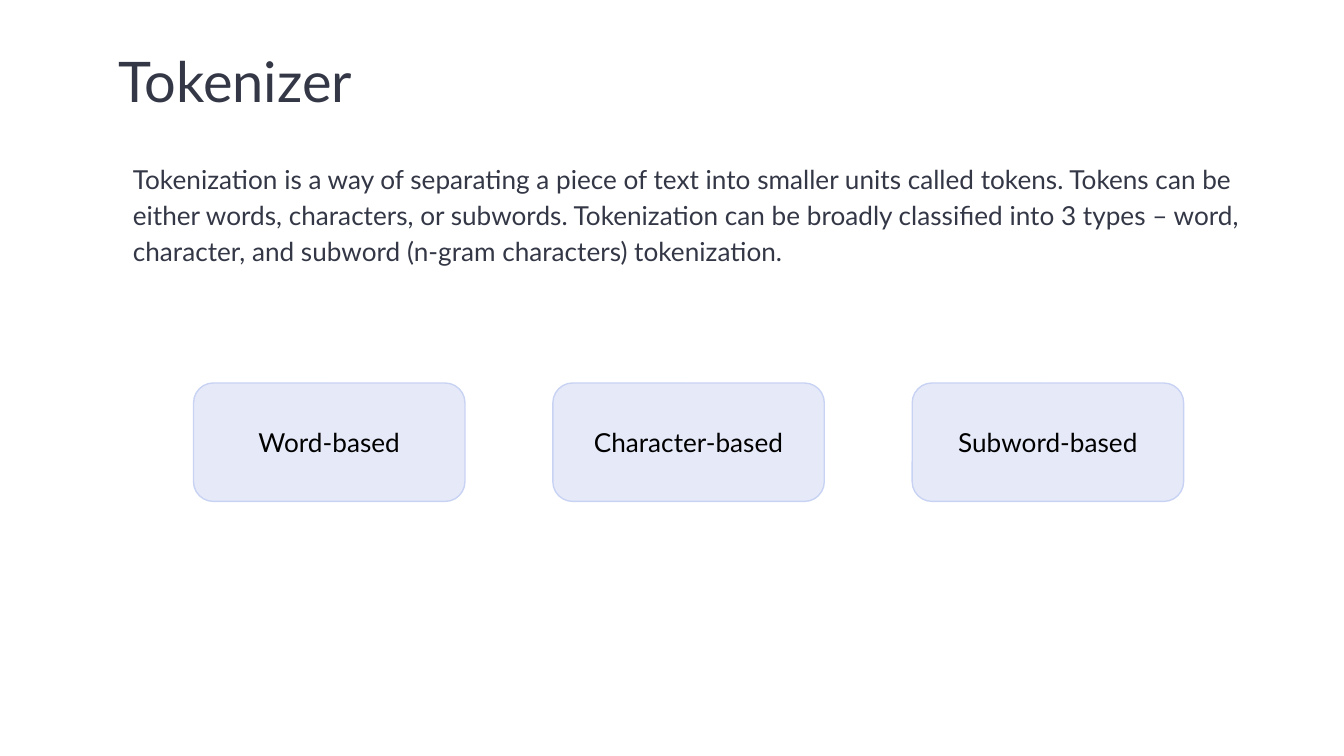
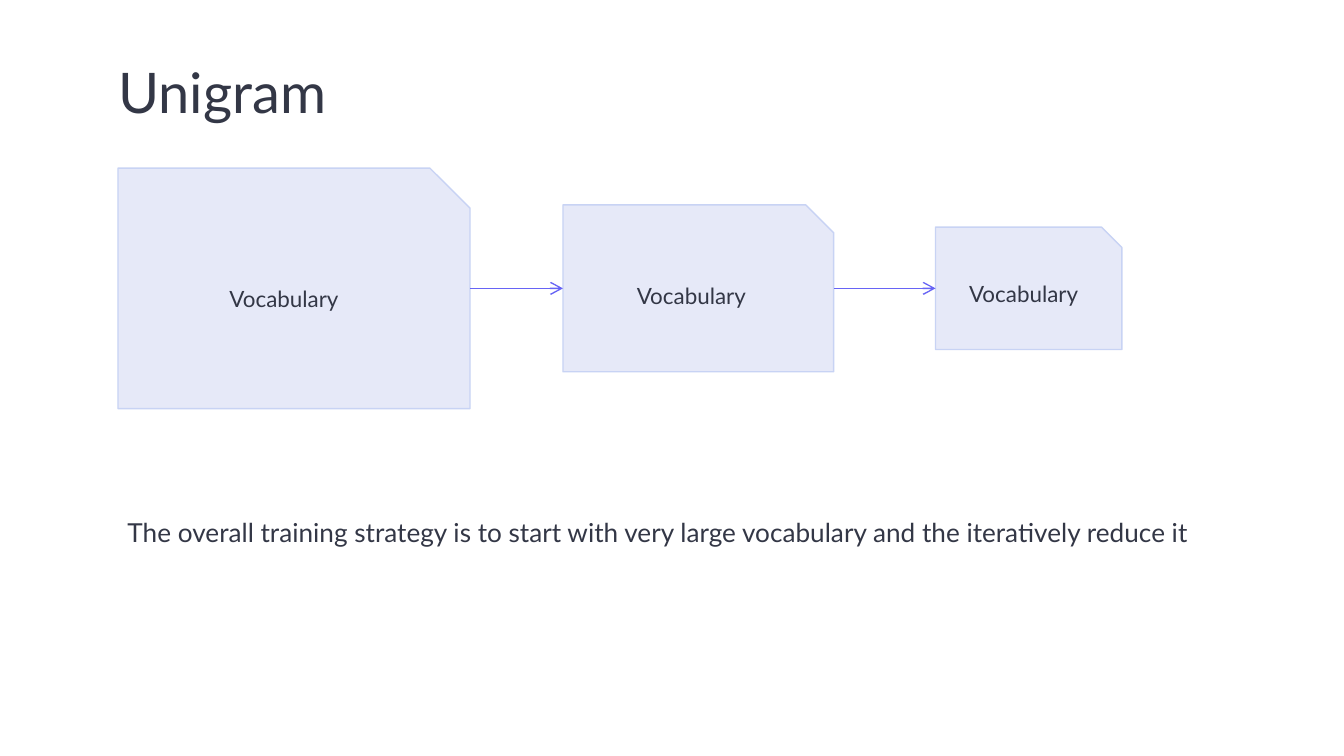
from dataclasses import dataclass

from lxml import etree
from pptx import Presentation
from pptx.dml.color import RGBColor
from pptx.enum.shapes import MSO_CONNECTOR, MSO_SHAPE
from pptx.enum.text import MSO_ANCHOR, MSO_AUTO_SIZE, PP_ALIGN
from pptx.oxml.ns import qn
from pptx.util import Pt

ROUNDED = MSO_SHAPE.ROUNDED_RECTANGLE
SNIPPED = MSO_SHAPE.SNIP_1_RECTANGLE
STRAIGHT = MSO_CONNECTOR.STRAIGHT
TOP, MIDDLE = MSO_ANCHOR.TOP, MSO_ANCHOR.MIDDLE
LEFT, CENTER = PP_ALIGN.LEFT, PP_ALIGN.CENTER
NO_FIT = MSO_AUTO_SIZE.NONE
LEFT_SIDE, RIGHT_SIDE = 1, 3
TITLE_ONLY = 5


@dataclass(frozen=True)
class Theme:
    font: str = "Lato"
    ink: RGBColor = RGBColor(0x33, 0x37, 0x46)
    black: RGBColor = RGBColor(0, 0, 0)
    fill: RGBColor = RGBColor(0xE6, 0xE9, 0xF8)
    outline: RGBColor = RGBColor(0xC8, 0xD3, 0xF4)
    arrow: RGBColor = RGBColor(0x67, 0x64, 0xF5)
    title_size: float = 30
    body_size: float = 14
    sheet_size: float = 12
    spacing: float = 1.15
    inset: float = 7.2
    line_width: float = 0.75


THEME = Theme()


@dataclass(frozen=True)
class Box:
    label: str
    left: float
    top: float
    width: float
    height: float


# Shared parts
def set_text(shape, text: str, size: float, color: RGBColor = THEME.ink,
             align=LEFT, anchor=TOP, spacing: float = THEME.spacing) -> None:
    tf = shape.text_frame
    tf.word_wrap = True
    tf.auto_size = NO_FIT
    tf.vertical_anchor = anchor
    tf.margin_left = tf.margin_right = Pt(THEME.inset)
    tf.margin_top = tf.margin_bottom = Pt(THEME.inset)
    p = tf.paragraphs[0]
    p.alignment = align
    p.line_spacing = spacing
    r = p.add_run()
    r.text = text
    r.font.name = THEME.font
    r.font.size = Pt(size)
    r.font.color.rgb = color


def add_titled_slide(prs, title: str, top: float):
    s = prs.slides.add_slide(prs.slide_layouts[TITLE_ONLY])
    sp = s.shapes.title
    sp.left, sp.top, sp.width, sp.height = Pt(56.2), Pt(top), Pt(597.6), Pt(55.4)
    set_text(sp, title, THEME.title_size)
    return s


def add_body(s, box: Box) -> None:
    sp = s.shapes.add_textbox(Pt(box.left), Pt(box.top), Pt(box.width), Pt(box.height))
    set_text(sp, box.label, THEME.body_size)


def add_box(s, preset, box: Box, size: float, color: RGBColor):
    sp = s.shapes.add_shape(preset, Pt(box.left), Pt(box.top), Pt(box.width), Pt(box.height))
    sp.shadow.inherit = False
    sp.fill.solid()
    sp.fill.fore_color.rgb = THEME.fill
    sp.line.color.rgb = THEME.outline
    sp.line.width = Pt(THEME.line_width)
    set_text(sp, box.label, size, color, CENTER, MIDDLE, 1.0)
    return sp


def add_arrow(s, start, end) -> None:
    y = start.top + start.height // 2
    cx = s.shapes.add_connector(STRAIGHT, start.left + start.width, y, end.left, y)
    cx.begin_connect(start, RIGHT_SIDE)
    cx.end_connect(end, LEFT_SIDE)
    cx.line.color.rgb = THEME.arrow
    cx.line.width = Pt(THEME.line_width)
    etree.SubElement(cx.line._get_or_add_ln(), qn("a:tailEnd"), type="arrow")
    etree.SubElement(cx._element.spPr, qn("a:effectLst"))


# Slide 1: three kinds of tokenizer in an even row
def build_tokenizer(prs) -> None:
    s = add_titled_slide(prs, "Tokenizer", 12.2)
    add_body(s, Box(
        "Tokenization is a way of separating a piece of text into smaller units called "
        "tokens. Tokens can be either words, characters, or subwords. Tokenization can be "
        "broadly classified into 3 types – word, character, and subword (n-gram "
        "characters) tokenization.", 64.1, 77.8, 625.7, 72))
    first_left, pitch = 103.7, 192.5
    for i, kind in enumerate(("Word", "Character", "Subword")):
        card = Box(f"{kind}-based", first_left + i * pitch, 205.2, 145.4, 63.4)
        add_box(s, ROUNDED, card, THEME.body_size, THEME.black)


# Slide 2: a shrinking vocabulary, centred on one axis
def build_unigram(prs) -> None:
    s = add_titled_slide(prs, "Unigram", 18)
    axis = 154.5
    sheets = []
    for left, width, height in ((63.2, 188.6, 128.8), (301.6, 145, 89.4), (501.2, 99.8, 65.6)):
        sheet = Box("Vocabulary", left, axis - height / 2, width, height)
        sheets.append(add_box(s, SNIPPED, sheet, THEME.sheet_size, THEME.ink))
    for start, end in zip(sheets, sheets[1:]):
        add_arrow(s, start, end)
    add_body(s, Box("The overall training strategy is to start with very large vocabulary "
                    "and the iteratively reduce it", 61.2, 267.1, 625.7, 55.4))


def main() -> None:
    prs = Presentation()
    prs.slide_width, prs.slide_height = Pt(720), Pt(405)
    build_tokenizer(prs)
    build_unigram(prs)
    prs.save("out.pptx")


if __name__ == "__main__":
    main()
